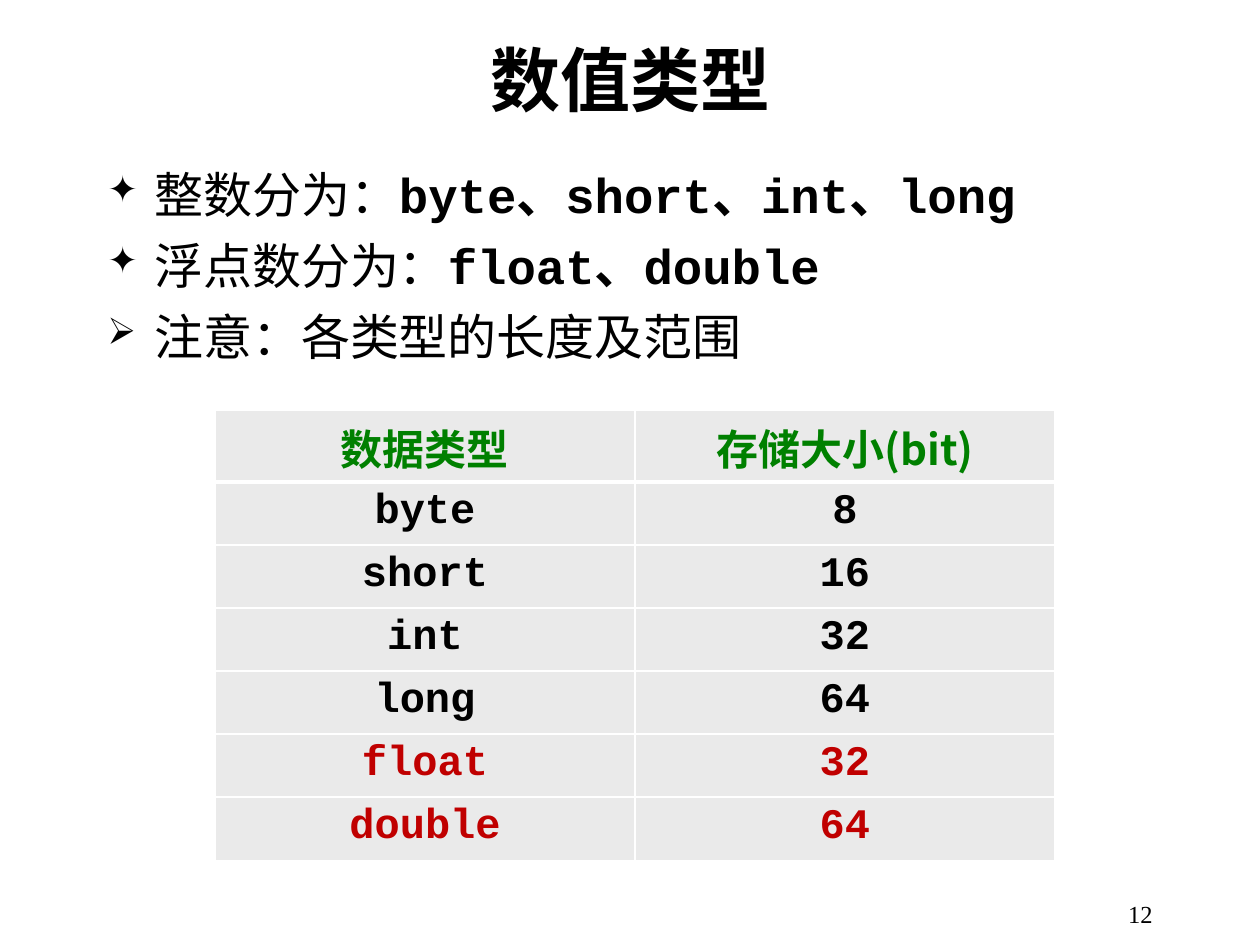
from lxml.etree import SubElement
from pptx import Presentation
from pptx.dml.color import RGBColor
from pptx.enum.text import MSO_ANCHOR as Anchor, MSO_AUTO_SIZE as AutoSize, PP_ALIGN as Align
from pptx.oxml.ns import qn
from pptx.util import Pt

SCALE = 914400 / 126
COURIER, TIMES, CJK = "Courier New", "Times New Roman", "Noto Sans CJK SC"


def px(length):
    return round(length * SCALE)


def add_text(para, text, font=CJK, size=28, color="000000", bold=False, align=Align.LEFT):
    para.alignment = align
    span = para.add_run()
    span.text = text
    span.font.size = Pt(size)
    span.font.bold = bold
    span.font.color.rgb = RGBColor.from_string(color)
    span.font.name = font
    SubElement(span.font._element, qn("a:ea"), typeface=CJK)


deck = Presentation()
deck.slide_width, deck.slide_height = px(1260), px(945)
page = deck.slides.add_slide(deck.slide_layouts[5])

# Title
title = page.shapes.title
title.left, title.top, title.width, title.height = px(95), px(4), px(1071), px(149)
title.text_frame.auto_size = AutoSize.NONE
title.text_frame.vertical_anchor = Anchor.MIDDLE
add_text(title.text_frame.paragraphs[0], "数值类型", font=COURIER, size=40, bold=True,
         align=Align.CENTER)

# Bulleted list: mark, lead text, lead font, type names
points = [
    ("✦", "整数分为：", TIMES, "byte、short、int、long"),
    ("✦", "浮点数分为：", TIMES, "float、double"),
    ("➢", "注意：各类型的长度及范围", CJK, ""),
]
body = page.shapes.add_textbox(px(95), px(158), px(1071), px(719))
body.text_frame.word_wrap = True
for index, (mark, lead, lead_font, names) in enumerate(points):
    para = body.text_frame.paragraphs[0] if index == 0 else body.text_frame.add_paragraph()
    para.space_before = Pt(7)
    add_text(para, lead, font=lead_font, align=Align.JUSTIFY)
    if names:
        add_text(para, names, font=COURIER, bold=True, align=Align.JUSTIFY)
    props = para._p.get_or_add_pPr()
    props.set("marL", str(px(47)))
    props.set("indent", str(-px(47)))
    bullet_color = SubElement(props, qn("a:buClr"))
    SubElement(bullet_color, qn("a:srgbClr"), val="000000")
    SubElement(props, qn("a:buSzPct"), val="75000")
    SubElement(props, qn("a:buChar"), char=mark)

# Table of types and sizes
rows = [
    ("数据类型", "存储大小(bit)"),
    ("byte", "8"),
    ("short", "16"),
    ("int", "32"),
    ("long", "64"),
    ("float", "32"),
    ("double", "64"),
]
table = page.shapes.add_table(len(rows), 2, px(215), px(410), px(840), px(432)).table
for column in table.columns:
    column.width = px(420)
for row_index, row in enumerate(rows):
    table.rows[row_index].height = px(72 if row_index == 0 else 60)
    if row_index == 0:
        font, color = CJK, "008000"
    else:
        font, color = COURIER, "C00000" if row[0] in ("float", "double") else "000000"
    for column_index, text in enumerate(row):
        cell = table.cell(row_index, column_index)
        add_text(cell.text_frame.paragraphs[0], text, font=font, size=24, color=color,
                 bold=True, align=Align.CENTER)
        # White borders, heavier under the header; they precede the fill in the XML
        cell_props = cell._tc.get_or_add_tcPr()
        for side in ("lnL", "lnR", "lnT", "lnB"):
            heavy = (row_index, side) in ((0, "lnB"), (1, "lnT"))
            line = SubElement(cell_props, qn(f"a:{side}"), w=str(Pt(3 if heavy else 1)))
            line_fill = SubElement(line, qn("a:solidFill"))
            SubElement(line_fill, qn("a:srgbClr"), val="FFFFFF")
        cell.fill.solid()
        cell.fill.fore_color.rgb = RGBColor.from_string("EAEAEA")

# Page number
number = page.shapes.add_textbox(px(903), px(882), px(262), px(63))
number.text_frame.word_wrap = True
number.text_frame.vertical_anchor = Anchor.MIDDLE
add_text(number.text_frame.paragraphs[0], "12", font=TIMES, size=14, align=Align.RIGHT)

deck.save("out.pptx")
